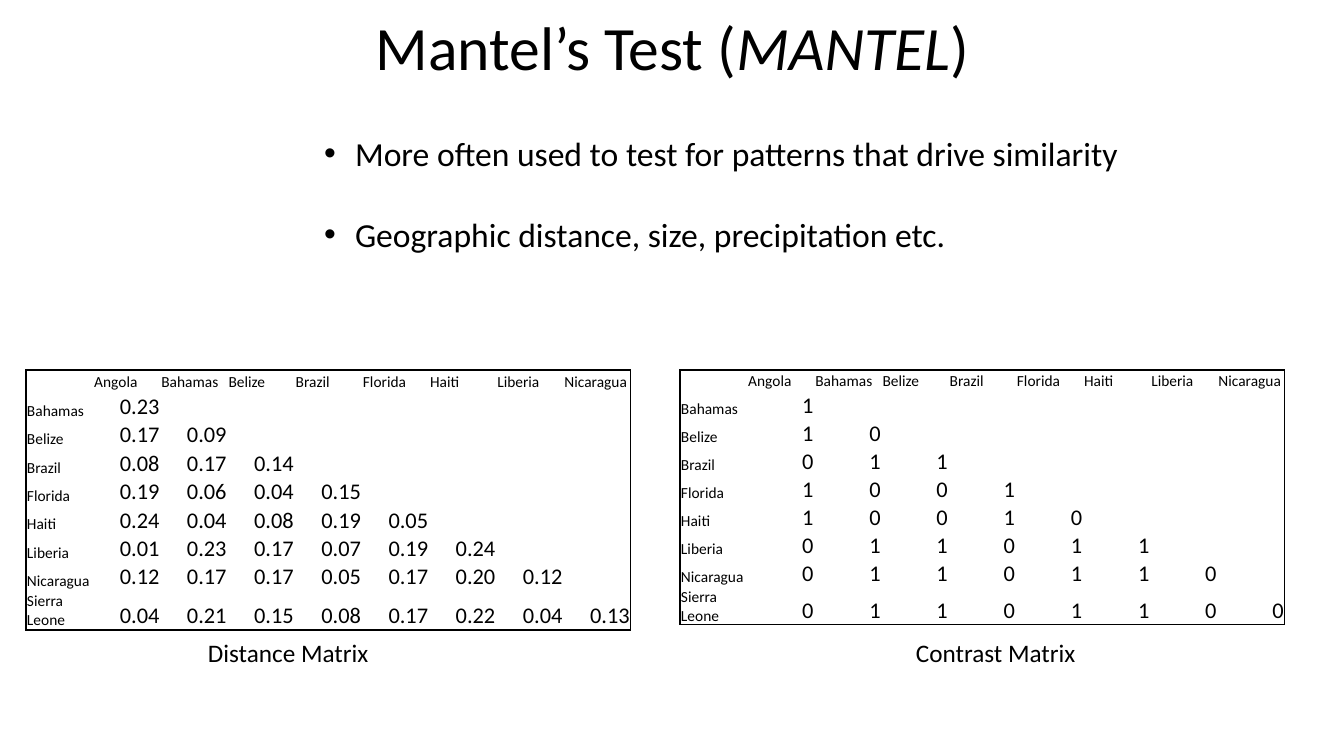
from lxml.etree import SubElement
from pptx import Presentation
from pptx.dml.color import RGBColor
from pptx.enum.text import MSO_ANCHOR, MSO_AUTO_SIZE, PP_ALIGN
from pptx.oxml.ns import qn
from pptx.util import Emu, Pt

BLACK = RGBColor(0, 0, 0)
FONT = "Calibri"
EMU_PER_PX = 914400 / 100.8
PLAIN_TABLE_STYLE = "{2D5ABB26-0587-4C30-8999-92F81FD0307C}"
LABEL_SIZE = 11
VALUE_SIZE = 16
ROW_HEIGHT = 28
LAST_ROW_HEIGHT = 38

PLACES = ["Angola", "Bahamas", "Belize", "Brazil", "Florida", "Haiti",
          "Liberia", "Nicaragua", "Sierra Leone"]
DISTANCES = """0.23
0.17 0.09
0.08 0.17 0.14
0.19 0.06 0.04 0.15
0.24 0.04 0.08 0.19 0.05
0.01 0.23 0.17 0.07 0.19 0.24
0.12 0.17 0.17 0.05 0.17 0.20 0.12
0.04 0.21 0.15 0.08 0.17 0.22 0.04 0.13"""
CONTRASTS = """1
1 0
0 1 1
1 0 0 1
1 0 0 1 0
0 1 1 0 1 1
0 1 1 0 1 1 0
0 1 1 0 1 1 0 0"""


def px(length):
    return Emu(round(length * EMU_PER_PX))


def place(shape, box):
    shape.left, shape.top, shape.width, shape.height = map(px, box)


def format_span(span, size, italic=False):
    span.font.name = FONT
    span.font.size = Pt(size)
    span.font.color.rgb = BLACK
    span.font.italic = italic


def add_title(page, box, parts):
    title = page.shapes.title
    place(title, box)
    frame = title.text_frame
    frame.auto_size = MSO_AUTO_SIZE.NONE
    frame.vertical_anchor = MSO_ANCHOR.TOP
    para = frame.paragraphs[0]
    para.alignment = PP_ALIGN.CENTER
    para.line_spacing = 0.9
    for words, italic in parts:
        span = para.add_run()
        span.text = words
        format_span(span, 44, italic)


def add_bullets(page, box, lines):
    body = page.placeholders[1]
    place(body, box)
    frame = body.text_frame
    frame.auto_size = MSO_AUTO_SIZE.NONE
    frame.vertical_anchor = MSO_ANCHOR.TOP
    frame.text = "\n".join(lines)
    for para in frame.paragraphs:
        para.space_before = Pt(0)
        para.space_after = Pt(29)
        properties = para._p.get_or_add_pPr()
        properties.set("marL", str(px(31)))
        properties.set("indent", str(-px(31)))
        SubElement(properties, qn("a:buChar")).set("char", "•")
        format_span(para.runs[0], 24)


def add_border(cell, side):
    line = SubElement(cell._tc.get_or_add_tcPr(), qn(f"a:ln{side}"), w=str(Pt(1)))
    fill = SubElement(line, qn("a:solidFill"))
    SubElement(fill, qn("a:srgbClr"), val=str(BLACK))


def fill_cell(cell, words, size, alignment):
    cell.margin_left = cell.margin_right = cell.margin_top = px(1)
    cell.margin_bottom = 0
    cell.vertical_anchor = MSO_ANCHOR.BOTTOM
    para = cell.text_frame.paragraphs[0]
    para.alignment = alignment
    if words:
        para.text = words
        format_span(para.runs[0], size)
    else:
        para._p.get_or_add_endParaRPr().set("sz", str(LABEL_SIZE * 100))


def add_matrix(page, box, values):
    count = len(PLACES)
    table = page.shapes.add_table(count, count, *map(px, box)).table
    table.first_row = table.horz_banding = False
    table._tbl.tblPr.find(qn("a:tableStyleId")).text = PLAIN_TABLE_STYLE
    header_height = box[3] - (count - 2) * ROW_HEIGHT - LAST_ROW_HEIGHT
    heights = [header_height] + [ROW_HEIGHT] * (count - 2) + [LAST_ROW_HEIGHT]
    for row, height in zip(table.rows, heights):
        row.height = px(height)
    for column in table.columns:
        column.width = px(box[2] / count)

    grid = [[""] + PLACES[:-1]]
    for place_name, line in zip(PLACES[1:], values.splitlines()):
        cells = [place_name] + line.split()
        grid.append(cells + [""] * (count - len(cells)))
    last = count - 1
    for r, words_in_row in enumerate(grid):
        for c, words in enumerate(words_in_row):
            cell = table.cell(r, c)
            is_label = r == 0 or c == 0
            fill_cell(cell, words, LABEL_SIZE if is_label else VALUE_SIZE,
                      PP_ALIGN.LEFT if is_label else PP_ALIGN.RIGHT)
            edges = {"L": c == 0, "R": c == last, "T": r == 0, "B": r == last}
            for side, on_edge in edges.items():
                if on_edge:
                    add_border(cell, side)
            cell.fill.background()


def add_caption(page, box, words):
    frame = page.shapes.add_textbox(*map(px, box)).text_frame
    frame.word_wrap = True
    frame.text = words
    format_span(frame.paragraphs[0].runs[0], 18)


def add_captioned_matrix(page, box, values, caption, caption_offset):
    left, top = box[:2]
    add_matrix(page, box, values)
    add_caption(page, (left + caption_offset, top + 262, 184, 40), caption)


def main():
    deck = Presentation()
    deck.slide_width, deck.slide_height = px(1344), px(756)
    page = deck.slides.add_slide(deck.slide_layouts[1])
    add_title(page, (93, 12, 1159, 146),
              [("Mantel’s Test (", False), ("MANTEL", True), (")", False)])
    add_bullets(page, (314, 128, 824, 214),
                ["More often used to test for patterns that drive similarity",
                 "Geographic distance, size, precipitation etc."])
    add_captioned_matrix(page, (26, 370, 605, 256), DISTANCES, "Distance Matrix", 172)
    add_captioned_matrix(page, (680, 370, 605, 255), CONTRASTS, "Contrast Matrix", 226)
    deck.save("out.pptx")


if __name__ == "__main__":
    main()
